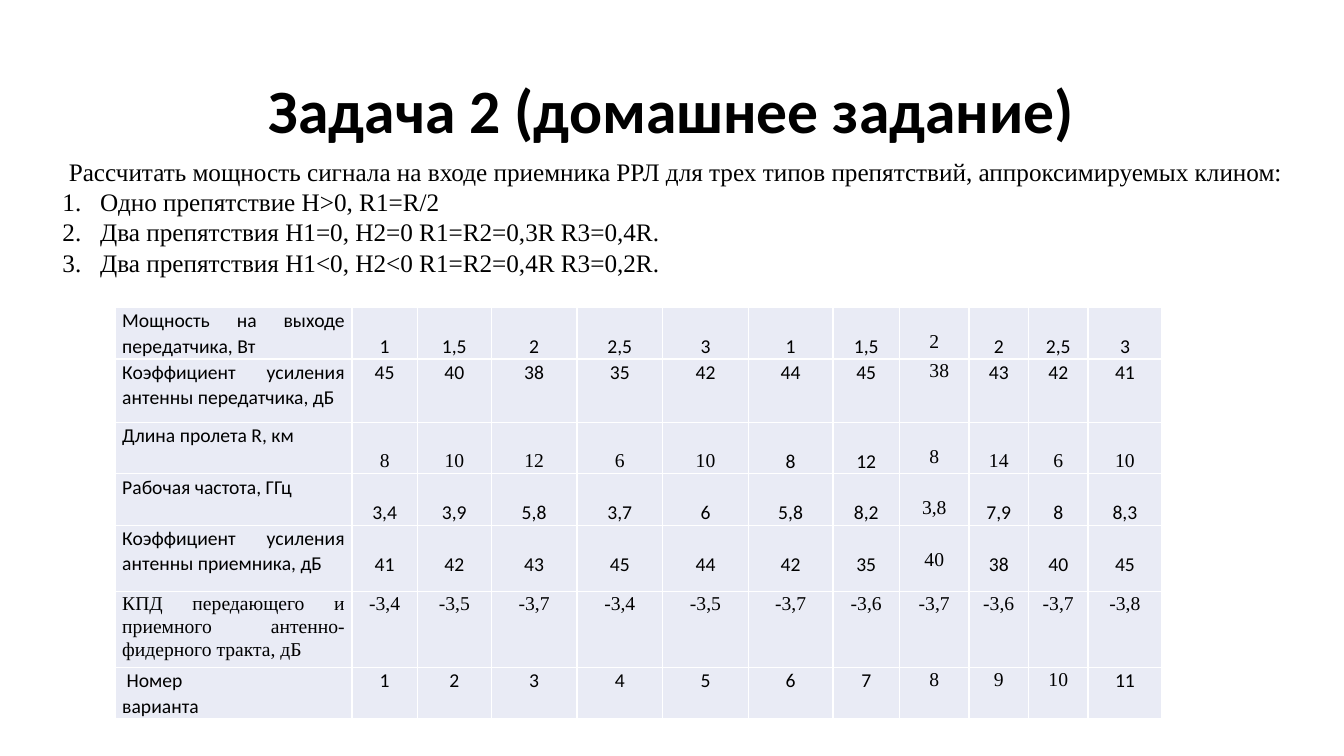
from lxml import etree
from pptx import Presentation
from pptx.dml.color import RGBColor
from pptx.enum.text import MSO_ANCHOR, MSO_AUTO_SIZE, PP_ALIGN
from pptx.oxml.ns import qn
from pptx.util import Cm, Pt

CENTER, JUSTIFY, LEFT = PP_ALIGN.CENTER, PP_ALIGN.JUSTIFY, PP_ALIGN.LEFT
SANS, SERIF = "Calibri", "Times New Roman"
BLACK, WHITE, CELL_FILL = "000000", "FFFFFF", "E9EBF5"

# Content
TITLE = "Задача 2 (домашнее задание)"
INTRO = ("Рассчитать мощность сигнала на входе приемника РРЛ для трех типов "
         "препятствий, аппроксимируемых клином:")
OBSTACLES = [
    "Одно препятствие H>0, R1=R/2",
    "Два препятствия H1=0, H2=0 R1=R2=0,3R R3=0,4R.",
    "Два препятствия H1<0, H2<0 R1=R2=0,4R R3=0,2R.",
]
# Label, values, row height (cm), values on the second line, serif columns
ROWS = [
    ("Мощность на выходе передатчика, Вт",
     "1 1,5 2 2,5 3 1 1,5 2 2 2,5 3", 1.27, True, {8}),
    ("Коэффициент усиления антенны передатчика, дБ",
     "45 40 38 35 42 44 45 38 43 42 41", 1.6, False, {8}),
    ("Длина пролета R, км",
     "8 10 12 6 10 8 12 8 14 6 10", 1.27, True, {1, 2, 3, 4, 5, 8, 9, 10, 11}),
    ("Рабочая частота, ГГц",
     "3,4 3,9 5,8 3,7 6 5,8 8,2 3,8 7,9 8 8,3", 1.27, True, {8}),
    ("Коэффициент усиления антенны приемника, дБ",
     "41 42 43 45 44 42 35 40 38 40 45", 1.67, True, {8}),
    ("КПД передающего и приемного антенно-фидерного тракта, дБ",
     "-3,4 -3,5 -3,7 -3,4 -3,5 -3,7 -3,6 -3,7 -3,6 -3,7 -3,8", 1.92, False,
     set(range(12))),
    ("Номер\nварианта", "1 2 3 4 5 6 7 8 9 10 11", 1.27, False, {8, 9, 10}),
]
COLUMN_WIDTHS = [5.97, 1.65, 1.86, 2.16, 2.16, 2.16, 2.13, 1.68, 1.75, 1.5, 1.5, 1.86]
RAISED_COLUMN = 8  # its second-line values sit slightly higher


def color(value):
    return RGBColor.from_string(value)


def write(frame, text, size=14, font=SANS, bold=False, align=CENTER,
          spacing=1.0, indent=0, numbered=False):
    """Fill a text frame, one paragraph per line; indent shifts the first line."""
    frame.word_wrap = True
    for index, line in enumerate(text.split("\n")):
        paragraph = frame.paragraphs[0] if index == 0 else frame.add_paragraph()
        paragraph.alignment = align
        paragraph.line_spacing = spacing
        paragraph.space_before = paragraph.space_after = Pt(0)
        run = paragraph.add_run()
        run.text = line
        run.font.size, run.font.name, run.font.bold = Pt(size), font, bold
        run.font.color.rgb = color(BLACK)
        properties = paragraph._p.get_or_add_pPr()
        is_item = numbered and index > 0
        properties.set("marL", str(Cm(0.95) if is_item else 0))
        first_indent = -0.95 if is_item else indent if index == 0 else 0
        properties.set("indent", str(Cm(first_indent)))
        if is_item:
            bullet_font = etree.SubElement(properties, qn("a:buFont"))
            bullet_font.set("typeface", "+mj-lt")
            etree.SubElement(properties, qn("a:buAutoNum")).set("type", "arabicPeriod")
        elif numbered:
            etree.SubElement(properties, qn("a:buNone"))


def place(shape, left, top, width, height):
    shape.left, shape.top = Cm(left), Cm(top)
    shape.width, shape.height = Cm(width), Cm(height)


def style_cell(cell, top_margin, extra_left=0):
    cell.margin_left, cell.margin_right = Cm(0.18 + extra_left), Cm(0.18)
    cell.margin_top, cell.margin_bottom = Cm(top_margin), Cm(0)
    properties = cell._tc.get_or_add_tcPr()
    for side in ("a:lnL", "a:lnR", "a:lnT", "a:lnB"):
        border = etree.SubElement(properties, qn(side), w=str(Pt(1)))
        fill = etree.SubElement(border, qn("a:solidFill"))
        etree.SubElement(fill, qn("a:srgbClr"), val=WHITE)
    cell.fill.solid()
    cell.fill.fore_color.rgb = color(CELL_FILL)


presentation = Presentation()
presentation.slide_width, presentation.slide_height = Cm(33.87), Cm(19.05)
slide = presentation.slides.add_slide(presentation.slide_layouts[1])

# Title
title = slide.shapes.title
place(title, 2.33, 1.01, 29.21, 3.68)
title.text_frame.vertical_anchor = MSO_ANCHOR.MIDDLE
title.text_frame.auto_size = MSO_AUTO_SIZE.NONE
write(title.text_frame, TITLE, size=44, bold=True, spacing=0.9)

# Task statement with the numbered obstacles
task = slide.placeholders[1]
place(task, 1.32, 3.81, 32, 6.4)
task.text_frame.vertical_anchor = MSO_ANCHOR.TOP
task.text_frame.auto_size = MSO_AUTO_SIZE.NONE
write(task.text_frame, "\n".join([INTRO] + OBSTACLES), size=18, font=SERIF,
      align=LEFT, indent=0.16, numbered=True)

# Table of variants
heights = [row[2] for row in ROWS]
table = slide.shapes.add_table(
    len(ROWS), len(COLUMN_WIDTHS), Cm(2.9), Cm(7.75),
    Cm(sum(COLUMN_WIDTHS)), Cm(sum(heights))).table
table.first_row = table.horz_banding = False
for column, width in zip(table.columns, COLUMN_WIDTHS):
    column.width = Cm(width)

for row_index, (label, values, height, second_line, serif_columns) in enumerate(ROWS):
    table.rows[row_index].height = Cm(height)
    for column_index, text in enumerate([label] + values.split()):
        cell = table.cell(row_index, column_index)
        is_label = column_index == 0
        raised = column_index == RAISED_COLUMN
        top_margin = 0
        if second_line and not is_label:
            top_margin = 0.56 if raised else 0.65
        style_cell(cell, top_margin, 0.25 if raised and row_index == 1 else 0)
        write(cell.text_frame, text, spacing=1.07,
              font=SERIF if column_index in serif_columns else SANS,
              align=JUSTIFY if is_label else CENTER,
              indent=0.11 if "\n" in text else 0)

presentation.save("out.pptx")
